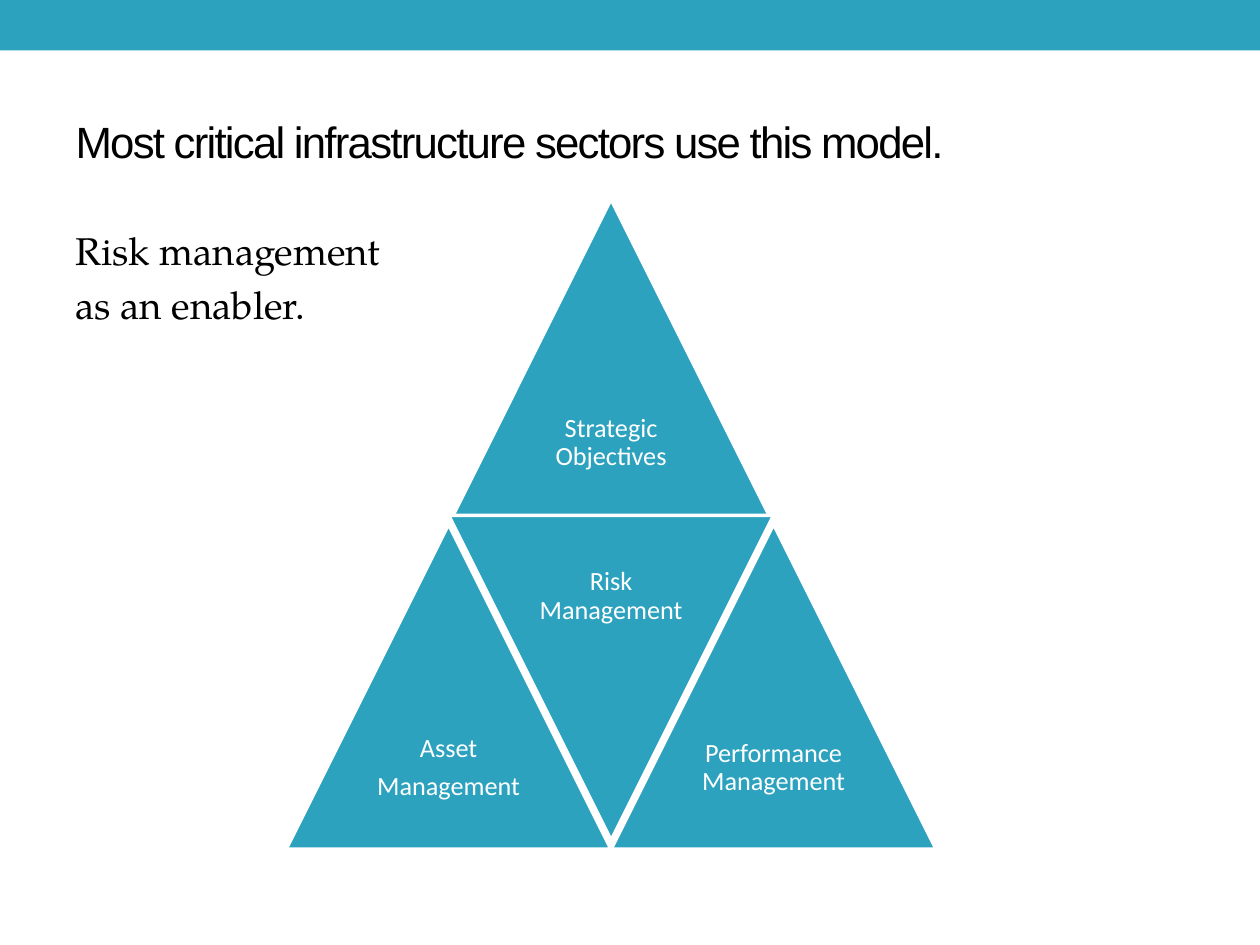
import pptx
import pptx.util
import pptx.dml.color
import pptx.enum.shapes
import pptx.enum.text

Inches, Pt = pptx.util.Inches, pptx.util.Pt
PP_ALIGN = pptx.enum.text.PP_ALIGN
ANCHOR = pptx.enum.text.MSO_ANCHOR
SHAPE = pptx.enum.shapes.MSO_SHAPE
RGB = pptx.dml.color.RGBColor.from_string

THEME = {
    "accent": RGB("2DA2BF"),
    "white": RGB("FFFFFF"),
    "title": ("Arial", 25, RGB("000000")),
    "body": ("TeX Gyre Pagella", 22, RGB("000000")),
    "label": ("Calibri", 15, RGB("FFFFFF")),
}


def add_run(p, text, style):
    r = p.add_run()
    r.text = text
    r.font.name, size, r.font.color.rgb = THEME[style]
    r.font.size = Pt(size)
    return r


def add_filled(shapes, kind, *box):
    sp = shapes.add_shape(kind, *box)
    sp.shadow.inherit = False
    sp.fill.solid()
    sp.fill.fore_color.rgb = THEME["accent"]
    return sp


prs = pptx.Presentation()
prs.slide_width, prs.slide_height = Inches(10), Inches(7.5)
W = prs.slide_width
s = prs.slides.add_slide(prs.slide_layouts[1])
title, body = s.placeholders
margin, content_w = int(W * 0.05), int(W * 0.9)

band = add_filled(s.shapes, SHAPE.RECTANGLE, 0, 0, W, Inches(0.4))
band.line.fill.background()

title.left, title.top, title.width, title.height = margin, Inches(0.58), content_w, Inches(1.08)
tf = title.text_frame
tf.auto_size = pptx.enum.text.MSO_AUTO_SIZE.NONE
tf.vertical_anchor = ANCHOR.MIDDLE
p = tf.paragraphs[0]
p.alignment = PP_ALIGN.LEFT
r = add_run(p, "Most critical infrastructure sectors use this model.", "title")
r.font._element.set("spc", "-100")

body.left, body.top, body.width, body.height = margin, Inches(1.75), content_w, Inches(5.33)
tf = body.text_frame
tf.auto_size = pptx.enum.text.MSO_AUTO_SIZE.NONE
for i, line in enumerate(["Risk management", "as an enabler."]):
    p = tf.add_paragraph() if i else tf.paragraphs[0]
    add_run(p, line, "body")
    pPr = p._p.get_or_add_pPr()
    pPr.set("marL", "0")
    pPr.set("indent", "0")
    pPr.append(pptx.oxml.parse_xml(
        '<a:buNone xmlns:a="http://schemas.openxmlformats.org/drawingml/2006/main"/>'))

side = Inches(2.58)
half = side // 2
left, top = Inches(2.27), Inches(1.58)
overlap = Inches(0.07)
triangles = [
    (1, 0, False, ["Strategic Objectives"]),
    (0, 1, False, ["Asset", "Management"]),
    (1, 1, True, ["Risk Management"]),
    (2, 1, False, ["Performance Management"]),
]

pyramid = s.shapes.add_group_shape()
for col, row, inverted, lines in triangles:
    x = left + col * half
    y = top + row * side - (overlap if inverted else 0)
    sp = add_filled(pyramid.shapes, SHAPE.ISOSCELES_TRIANGLE, x, y, side, side)
    sp.rotation = 180 if inverted else 0
    sp.line.color.rgb = THEME["white"]
    sp.line.width = Pt(2.08)

    label_y = y if inverted else y + half
    tf = pyramid.shapes.add_textbox(x + half // 2, label_y, half, half).text_frame
    tf.word_wrap = True
    tf.vertical_anchor = ANCHOR.MIDDLE
    tf.margin_left = tf.margin_right = tf.margin_top = tf.margin_bottom = Inches(0.06)
    for i, line in enumerate(lines):
        p = tf.add_paragraph() if i else tf.paragraphs[0]
        p.alignment = PP_ALIGN.CENTER
        p.line_spacing = 0.9
        p.space_after = Pt(5.25)
        add_run(p, line, "label")

prs.save("out.pptx")
